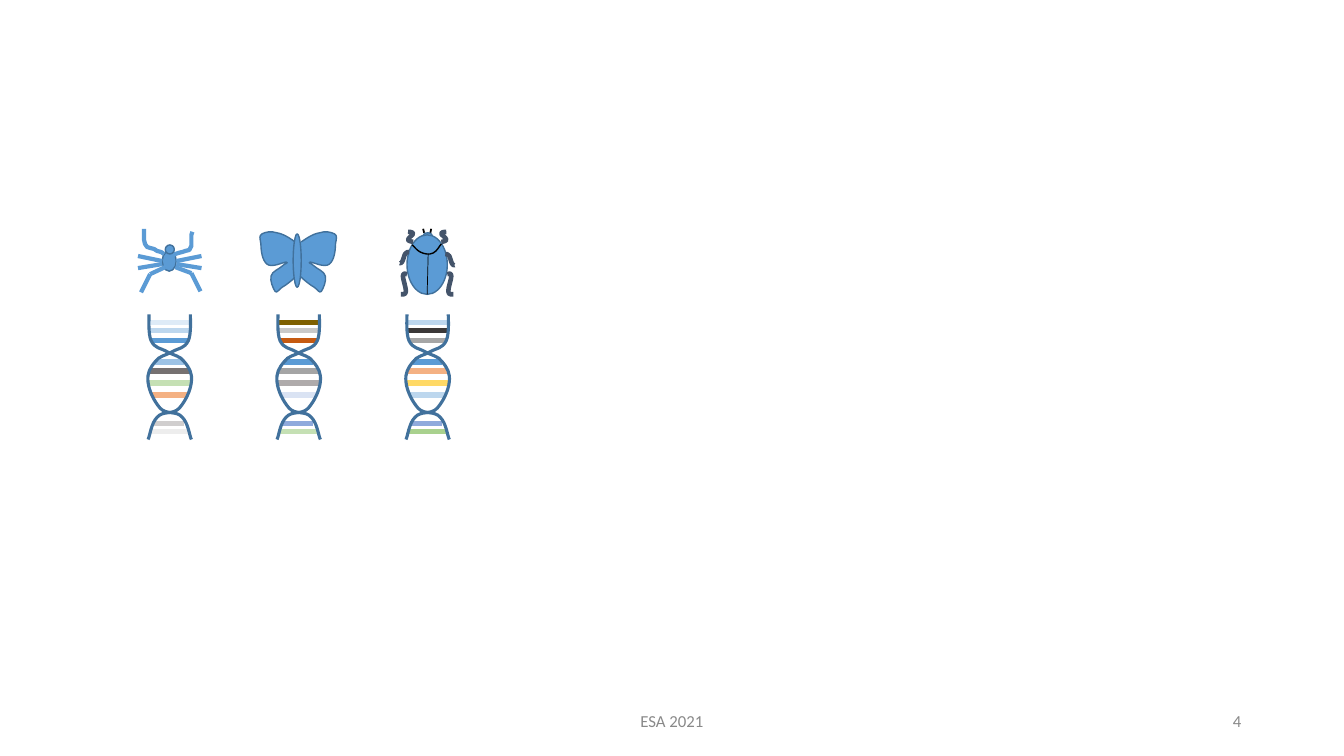
from lxml.etree import SubElement
from pptx import Presentation
from pptx.dml.color import RGBColor
from pptx.enum.shapes import MSO_CONNECTOR, MSO_SHAPE
from pptx.enum.text import MSO_ANCHOR, PP_ALIGN
from pptx.oxml.ns import qn
from pptx.util import Pt

PX = 9144
SLIDE_SIZE = (1334, 750)

BLUE = RGBColor(0x5B, 0x9B, 0xD5)
DARK_BLUE = RGBColor(0x41, 0x71, 0x9C)
SLATE = RGBColor(0x44, 0x54, 0x6A)
BLACK = RGBColor(0x00, 0x00, 0x00)
GREY = RGBColor(0x89, 0x89, 0x89)

SPIDER_ABDOMEN = (161, 249, 14, 20)
SPIDER_HEAD = (164, 243, 9, 9)
SPIDER_LEGS = [
    [(174, 265), (190, 271)], [(190, 271), (199, 289)],
    [(164, 265), (149, 272)], [(149, 272), (140, 290)],
    [(161, 262), (137, 266)], [(175, 262), (200, 266)],
    [(161, 259), (137, 254)], [(175, 259), (200, 254)],
]
SPIDER_FRONT_LEGS = [
    [(163, 252), (160, 250), (156, 249), (153, 247), (149, 246), (146, 245),
     (144, 242), (143, 238), (143, 234), (143, 231), (143, 227)],
    [(170, 254), (174, 252), (177, 251), (181, 250), (184, 249), (188, 248),
     (190, 244), (190, 241), (190, 237), (190, 233), (191, 230)],
]

BUTTERFLY_BODY = (291, 232, 8, 53)
BUTTERFLY_MIRROR = 592
BUTTERFLY_WING = [
    (299, 240), (302, 238), (310, 232), (317, 231), (323, 229), (328, 230), (332, 232),
    (335, 234), (334, 236), (333, 242), (333, 248), (332, 258), (327, 262),
    (322, 266), (311, 260), (308, 260), (305, 261), (309, 261), (312, 264),
    (315, 267), (322, 269), (323, 274), (324, 279), (321, 286), (319, 289),
    (317, 291), (316, 288), (312, 285), (308, 283), (301, 277), (299, 275),
    (296, 273), (298, 275), (298, 275),
]

BEETLE_HEAD = (420, 231, 9, 6)
BEETLE_BODY = (404, 233, 40, 59)
BEETLE_ANTENNAE = [[(427, 232), (428, 227)], [(421, 231), (420, 227)]]
BEETLE_SEAM = [(425, 252), (424, 292)]
BEETLE_COLLAR = [(409, 243), (411, 244), (413, 248), (417, 250), (421, 252),
                 (426, 253), (430, 251), (434, 249), (436, 244), (438, 242)]
BEETLE_MIRROR = 848
BEETLE_LEGS = [
    (0, [(410, 240), (409, 240), (405, 239), (405, 238), (405, 236), (410, 233),
         (410, 232), (410, 230), (406, 230), (405, 230)]),
    (2, [(406, 250), (405, 250), (403, 250), (402, 252), (401, 254), (400, 259),
         (399, 260), (398, 262), (397, 261), (397, 261)]),
    (0, [(404, 272), (403, 272), (400, 270), (400, 274), (400, 277), (403, 285),
         (403, 289), (403, 293), (399, 292), (398, 292)]),
]

DNA_PITCH = 128
DNA_MIRROR = 337
DNA_STRAND = [
    (189, 312), (189, 317), (190, 331), (187, 338), (183, 346), (178, 345), (171, 349),
    (164, 353), (158, 353), (154, 359), (149, 365), (146, 370), (147, 379),
    (148, 388), (153, 398), (159, 405), (166, 412), (175, 407), (181, 414),
    (187, 420), (188, 432), (190, 436),
]
DNA_RUNGS = [(147, 189, 320), (147, 189, 328), (150, 187, 338), (154, 183, 359),
             (148, 189, 368), (147, 190, 380), (151, 186, 392), (151, 183, 420),
             (148, 188, 428)]
DNA_COLOURS = [
    "DEEBF7 BDD7EE 5B9BD5 9DC3E6 767171 C5E0B4 F4B183 D0CECE EDEDED",
    "7F6000 C9C9C9 C55A11 5B9BD5 A5A5A5 AFABAB DAE3F3 8FAADC C5E0B4",
    "BDD7EE 3B3838 A6A6A6 5B9BD5 F4B183 FFD966 BDD7EE 8FAADC A9D18E",
]

FOOTERS = [
    ("4", (942, 695, 300, 40), PP_ALIGN.RIGHT),
    ("ESA 2021", (442, 695, 450, 40), PP_ALIGN.CENTER),
]


def emu(values):
    return [value * PX for value in values]


def mirrored(points, axis, drop=0):
    return [(axis - x, y + drop) for x, y in points]


def shifted(points, distance):
    return [(x + distance, y) for x, y in points]


def style(shape, colour, weight, fill=None):
    shape.shadow.inherit = False
    if fill is None:
        shape.fill.background()
    else:
        shape.fill.solid()
        shape.fill.fore_color.rgb = fill
    shape.line.color.rgb = colour
    shape.line.width = Pt(weight)


def add_line(shapes, ends, colour, weight):
    start, end = ends
    connector = shapes.add_connector(MSO_CONNECTOR.STRAIGHT, *emu(start + end))
    connector.line.color.rgb = colour
    connector.line.width = Pt(weight)
    SubElement(connector._element.spPr, qn("a:effectLst"))


def add_outline(shapes, points, colour, weight, fill=None):
    builder = shapes.build_freeform(*emu(points[0]))
    builder.add_line_segments([emu(point) for point in points[1:]], close=False)
    shape = builder.convert_to_shape()
    style(shape, colour, weight, fill)
    return shape


def add_curve(shapes, points, colour, weight, fill=None):
    shape = add_outline(shapes, points, colour, weight, fill)
    outline = shape._element.find(".//" + qn("a:path"))
    segments = outline.findall(qn("a:lnTo"))
    for i in range(0, len(segments), 3):
        bezier = SubElement(outline, qn("a:cubicBezTo"))
        for segment in segments[i:i + 3]:
            bezier.append(segment[0])
            outline.remove(segment)


def add_ellipse(shapes, box):
    style(shapes.add_shape(MSO_SHAPE.OVAL, *emu(box)), DARK_BLUE, 1, BLUE)


def draw_spider(shapes):
    add_ellipse(shapes, SPIDER_ABDOMEN)
    for leg in SPIDER_LEGS:
        add_line(shapes, leg, BLUE, 3)
    for leg in SPIDER_FRONT_LEGS:
        add_outline(shapes, leg, BLUE, 3)
    add_ellipse(shapes, SPIDER_HEAD)


def draw_butterfly(shapes):
    for wing in (BUTTERFLY_WING, mirrored(BUTTERFLY_WING, BUTTERFLY_MIRROR)):
        add_curve(shapes, wing, DARK_BLUE, 1, BLUE)
    add_ellipse(shapes, BUTTERFLY_BODY)


def draw_beetle(shapes):
    for antenna in BEETLE_ANTENNAE:
        add_line(shapes, antenna, BLACK, 1.25)
    add_ellipse(shapes, BEETLE_HEAD)
    add_ellipse(shapes, BEETLE_BODY)
    add_curve(shapes, BEETLE_COLLAR, BLACK, 1)
    add_line(shapes, BEETLE_SEAM, BLACK, 0.5)
    for drop, leg in BEETLE_LEGS:
        for side in (leg, mirrored(leg, BEETLE_MIRROR, drop)):
            add_curve(shapes, side, SLATE, 3.25)


def draw_dna(shapes, colours, distance):
    for (left, right, y), colour in zip(DNA_RUNGS, colours.split()):
        rung = shifted([(left, y), (right, y)], distance)
        add_line(shapes, rung, RGBColor.from_string(colour), 4)
    for strand in (DNA_STRAND, mirrored(DNA_STRAND, DNA_MIRROR)):
        add_curve(shapes, shifted(strand, distance), DARK_BLUE, 2.25)


def add_footer(shapes, text, box, alignment):
    frame = shapes.add_textbox(*emu(box)).text_frame
    frame.word_wrap = True
    frame.vertical_anchor = MSO_ANCHOR.MIDDLE
    paragraph = frame.paragraphs[0]
    paragraph.alignment = alignment
    run = paragraph.add_run()
    run.text = text
    for attribute, value in {"name": "Calibri", "size": Pt(12)}.items():
        setattr(run.font, attribute, value)
    run.font.color.rgb = GREY


def main():
    presentation = Presentation()
    presentation.slide_width, presentation.slide_height = emu(SLIDE_SIZE)
    shapes = presentation.slides.add_slide(presentation.slide_layouts[6]).shapes
    for draw in (draw_spider, draw_butterfly, draw_beetle):
        draw(shapes)
    for column, colours in enumerate(DNA_COLOURS):
        draw_dna(shapes, colours, column * DNA_PITCH)
    for text, box, alignment in FOOTERS:
        add_footer(shapes, text, box, alignment)
    presentation.save("out.pptx")


if __name__ == "__main__":
    main()
